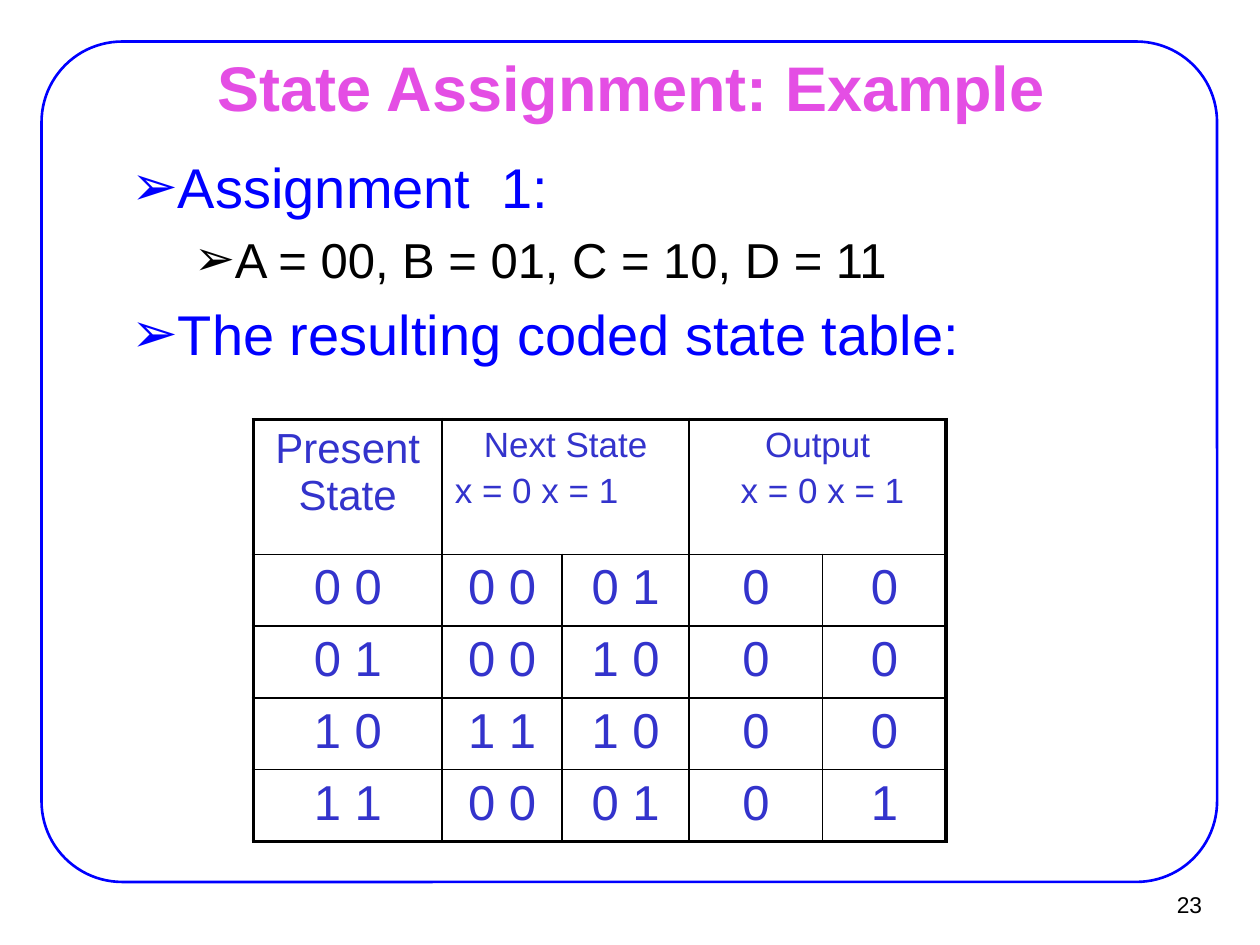
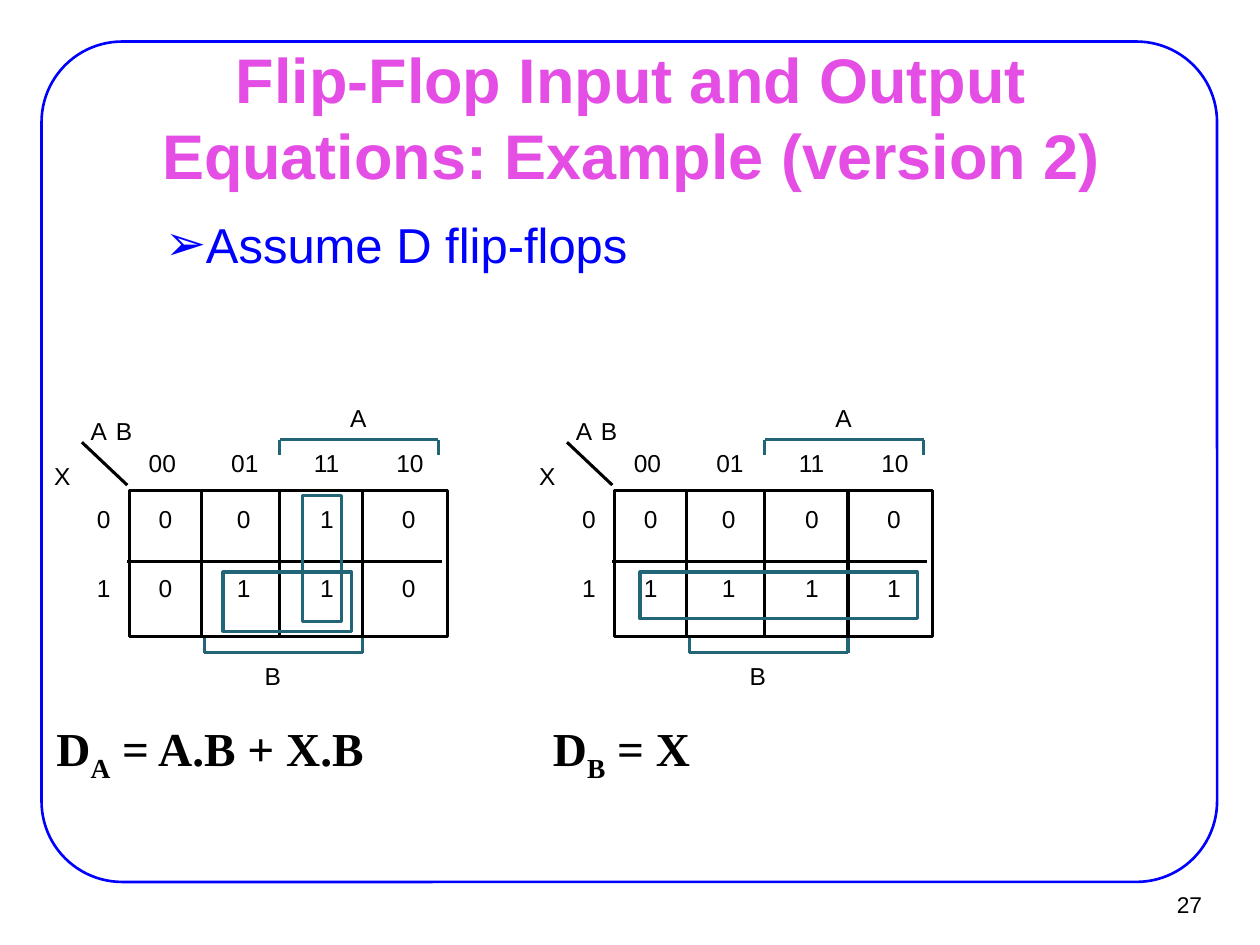
from itertools import pairwise

from lxml import etree
from pptx import Presentation
from pptx.dml.color import RGBColor
from pptx.enum.shapes import MSO_CONNECTOR, MSO_SHAPE
from pptx.enum.text import MSO_ANCHOR, MSO_AUTO_SIZE, PP_ALIGN
from pptx.oxml.ns import qn
from pptx.util import Inches, Pt

STRAIGHT = MSO_CONNECTOR.STRAIGHT
RECTANGLE, ROUNDED = MSO_SHAPE.RECTANGLE, MSO_SHAPE.ROUNDED_RECTANGLE
LEFT, CENTER, RIGHT = PP_ALIGN.LEFT, PP_ALIGN.CENTER, PP_ALIGN.RIGHT
MIDDLE, TOP = MSO_ANCHOR.MIDDLE, MSO_ANCHOR.TOP
NO_FIT, FIT_SHAPE = MSO_AUTO_SIZE.NONE, MSO_AUTO_SIZE.SHAPE_TO_FIT_TEXT

BLACK, BLUE, PINK = "000000", "0000FF", "E44EE4"
TABLE_BLUE, TEAL = "3333CC", "226577"
SANS, SERIF = "Arial", "Times New Roman"
BULLET = "➢"
INDENTS = {1: (0.81, -0.31), 2: (1.25, -0.25)}
LEVEL_COLOURS = {1: BLUE, 2: BLACK}
THIN, THICK = 1, 2.25
MAP_LINE = 1.75


def rgb(colour):
    return RGBColor.from_string(colour)


def box(left, top, width, height):
    return [Inches(length) for length in (left, top, width, height)]


def style(paragraph, size, colour, align=LEFT, font=SANS, bold=False):
    paragraph.alignment = align
    paragraph.font.name = font
    paragraph.font.size = Pt(size)
    paragraph.font.bold = bold
    paragraph.font.color.rgb = rgb(colour)


def set_insets(frame, across, down):
    frame.margin_left = frame.margin_right = Inches(across)
    frame.margin_top = frame.margin_bottom = Inches(down)


def add_outline(slide, kind, place, colour, width):
    outline = slide.shapes.add_shape(kind, *box(*place))
    outline.shadow.inherit = False
    outline.fill.background()
    outline.line.color.rgb = rgb(colour)
    outline.line.width = Pt(width)
    return outline


def add_path(slide, left, top, points, colour=BLACK):
    """Join points, given relative to left and top, with straight lines."""
    for (x1, y1), (x2, y2) in pairwise(points):
        line = slide.shapes.add_connector(
            STRAIGHT, *box(left + x1, top + y1, left + x2, top + y2))
        line.line.color.rgb = rgb(colour)
        line.line.width = Pt(MAP_LINE)
        etree.SubElement(line._element.spPr, qn("a:effectLst"))


def add_label(slide, left, top, text):
    label = slide.shapes.add_textbox(
        *box(left, top, 0.03 + 0.13 * len(text), 0.23))
    frame = label.text_frame
    set_insets(frame, 0, 0)
    frame.word_wrap = False
    frame.auto_size = FIT_SHAPE
    frame.text = text
    style(frame.paragraphs[0], 14, BLACK)


def place_placeholder(holder, place, anchor):
    holder.left, holder.top, holder.width, holder.height = box(*place)
    frame = holder.text_frame
    set_insets(frame, 0.11, 0.06)
    frame.word_wrap = True
    frame.auto_size = NO_FIT
    frame.vertical_anchor = anchor
    return frame


def add_base_slide(deck, title, title_top, number):
    slide = deck.slides.add_slide(deck.slide_layouts[1])
    frame = add_outline(slide, ROUNDED, (0.33, 0.33, 9.33, 6.67), BLUE, 1.5)
    frame.adjustments[0] = 0.096

    heading = place_placeholder(
        slide.shapes.title, (0.76, title_top, 8.5, 0.49), MIDDLE)
    heading.text = title
    style(heading.paragraphs[0], 36, PINK, CENTER, bold=True)

    page = slide.shapes.add_textbox(*box(9.02, 6.99, 0.61, 0.37)).text_frame
    set_insets(page, 0.09, 0.04)
    page.word_wrap = False
    page.vertical_anchor = MIDDLE
    page.text = number
    style(page.paragraphs[0], 13, BLACK, RIGHT)
    return slide


def fill_body(slide, place, items):
    """Write (level, size, text) items as a bulleted list."""
    frame = place_placeholder(slide.placeholders[1], place, TOP)
    for index, (level, size, text) in enumerate(items):
        item = frame.add_paragraph() if index else frame.paragraphs[0]
        item.text = text
        item.level = level
        margin, indent = INDENTS[level]
        properties = item._p.get_or_add_pPr()
        properties.set("marL", str(Inches(margin)))
        properties.set("indent", str(Inches(indent)))
        etree.SubElement(properties, qn("a:buFont"), typeface=SANS)
        etree.SubElement(properties, qn("a:buChar"), char=BULLET)
        item.space_before = Pt(0.2 * size if index else 0)
        style(item, size, LEVEL_COLOURS[level])


def set_borders(cell, widths):
    """Draw the left, right, top and bottom borders, before any fill."""
    properties = cell._tc.get_or_add_tcPr()
    for side, width in zip("LRTB", widths):
        border = etree.SubElement(
            properties, qn(f"a:ln{side}"), w=str(Pt(width)))
        solid = etree.SubElement(border, qn("a:solidFill"))
        etree.SubElement(solid, qn("a:srgbClr"), val=BLACK)


def fill_cell(cell, lines, size, aligns):
    set_insets(cell, 0.1, 0.05)
    cell.text = "\n".join(lines)
    for index, (paragraph, align) in enumerate(
            zip(cell.text_frame.paragraphs, aligns)):
        paragraph.space_before = Pt(0.2 * size if index else 0)
        style(paragraph, size, TABLE_BLUE, align)


def add_state_table(slide, left, top):
    headers = {
        0: (["Present State"], 24, [CENTER]),
        1: (["Next State", "x = 0 x = 1"], 20, [CENTER, LEFT]),
        3: (["Output", " x = 0 x = 1"], 20, [CENTER, CENTER]),
    }
    states = [
        ["0 0", "0 0", "0 1", "0", "0"],
        ["0 1", "0 0", "1 0", "0", "0"],
        ["1 0", "1 1", "1 0", "0", "0"],
        ["1 1", "0 0", "0 1", "0", "1"],
    ]
    widths = [1.5, 0.95, 1.01, 1.06, 0.98]
    heights = [1.07] + [0.57] * len(states)
    table = slide.shapes.add_table(
        len(heights), len(widths),
        *box(left, top, sum(widths), sum(heights))).table
    table.first_row = table.horz_banding = False
    for column, width in zip(table.columns, widths):
        column.width = Inches(width)
    for row, height in zip(table.rows, heights):
        row.height = Inches(height)

    last_row, last_column = len(heights) - 1, len(widths) - 1
    for r in range(len(heights)):
        for c in range(len(widths)):
            cell = table.cell(r, c)
            on_edge = (c == 0, c == last_column, r == 0, r == last_row)
            if r == 0 and c in (1, 3):
                on_edge = (False, c == 3, True, False)
            set_borders(cell, [THICK if edge else THIN for edge in on_edge])
            cell.fill.background()
            if r:
                fill_cell(cell, [states[r - 1][c]], 28, [CENTER])
            elif c in headers:
                fill_cell(cell, *headers[c])
    for c in (1, 3):
        table.cell(0, c).merge(table.cell(0, c + 1))


def add_karnaugh_map(slide, left, top, rows, groups):
    """Draw a two-row map whose grid has its corner at left, top."""
    add_outline(slide, RECTANGLE, (left, top, 2.52, 1.16), BLACK, MAP_LINE)
    add_path(slide, left, top, [(-0.02, 0.57), (2.48, 0.57)])
    for x in (0.57, 1.19, 1.85):
        add_path(slide, left, top, [(x, 0), (x, 1.15)])
    add_path(slide, left, top, [(-0.02, -0.04), (-0.38, -0.38)])

    a_bracket = [(2.45, -0.28), (2.45, -0.4), (1.19, -0.4), (1.19, -0.28)]
    b_bracket = [(0.59, 1.17), (0.59, 1.29), (1.85, 1.29), (1.85, 1.17)]
    for bracket in (a_bracket, b_bracket):
        add_path(slide, left, top, bracket, TEAL)

    for text, x, y in [("A", -0.31, -0.59), ("B", -0.11, -0.59),
                       ("X", -0.6, -0.23), ("A", 1.75, -0.69),
                       ("B", 1.07, 1.36)]:
        add_label(slide, left + x, top + y, text)
    for index, code in enumerate(["00", "01", "11", "10"]):
        add_label(slide, left + 0.15 + 0.655 * index, top - 0.33, code)
    for index, values in enumerate(rows):
        y = top + 0.11 + 0.55 * index
        for x, value in zip((-0.26, 0.23, 0.85, 1.51, 2.16),
                            str(index) + values):
            add_label(slide, left + x, y, value)

    for x, y, width, height in groups:
        add_outline(slide, RECTANGLE, (left + x, top + y, width, height),
                    TEAL, MAP_LINE)


def add_equation(slide, place, subscript, expression):
    frame = slide.shapes.add_textbox(*box(*place)).text_frame
    frame.word_wrap = True
    frame.auto_size = FIT_SHAPE
    equation = frame.paragraphs[0]
    style(equation, 27, BLACK, font=SERIF, bold=True)
    for text in ("D", subscript, f" = {expression}"):
        part = equation.add_run()
        part.text = text
        if text == subscript:
            part._r.get_or_add_rPr().set("baseline", "-25000")


def add_assignment_slide(deck):
    slide = add_base_slide(deck, "State Assignment: Example", 0.44, "23")
    fill_body(slide, (0.43, 1.15, 8.5, 1.84), [
        (1, 32, "Assignment  1:"),
        (2, 28, "A = 00, B = 01, C = 10, D = 11"),
        (1, 32, "The resulting coded state table:"),
    ])
    add_state_table(slide, 2.01, 3.33)


def add_equations_slide(deck):
    slide = add_base_slide(
        deck, "Flip-Flop Input and Output Equations: Example (version 2)",
        0.68, "27")
    fill_body(slide, (0.7, 1.64, 8.8, 0.94), [(1, 28, "Assume D flip-flops")])
    add_karnaugh_map(slide, 1.03, 3.89, ["0010", "0110"],
                     [(1.37, 0.04, 0.31, 1), (0.74, 0.65, 1.02, 0.47)])
    add_equation(slide, (0.35, 5.66, 3.7, 0.55), "A", "A.B + X.B")
    add_karnaugh_map(slide, 4.88, 3.89, ["0000", "1111"],
                     [(0.2, 0.65, 2.2, 0.37)])
    add_equation(slide, (4.29, 5.66, 5.43, 0.55), "B", "X")


def main():
    deck = Presentation()
    deck.slide_width, deck.slide_height = Inches(10), Inches(7.5)
    add_assignment_slide(deck)
    add_equations_slide(deck)
    deck.save("out.pptx")


if __name__ == "__main__":
    main()
